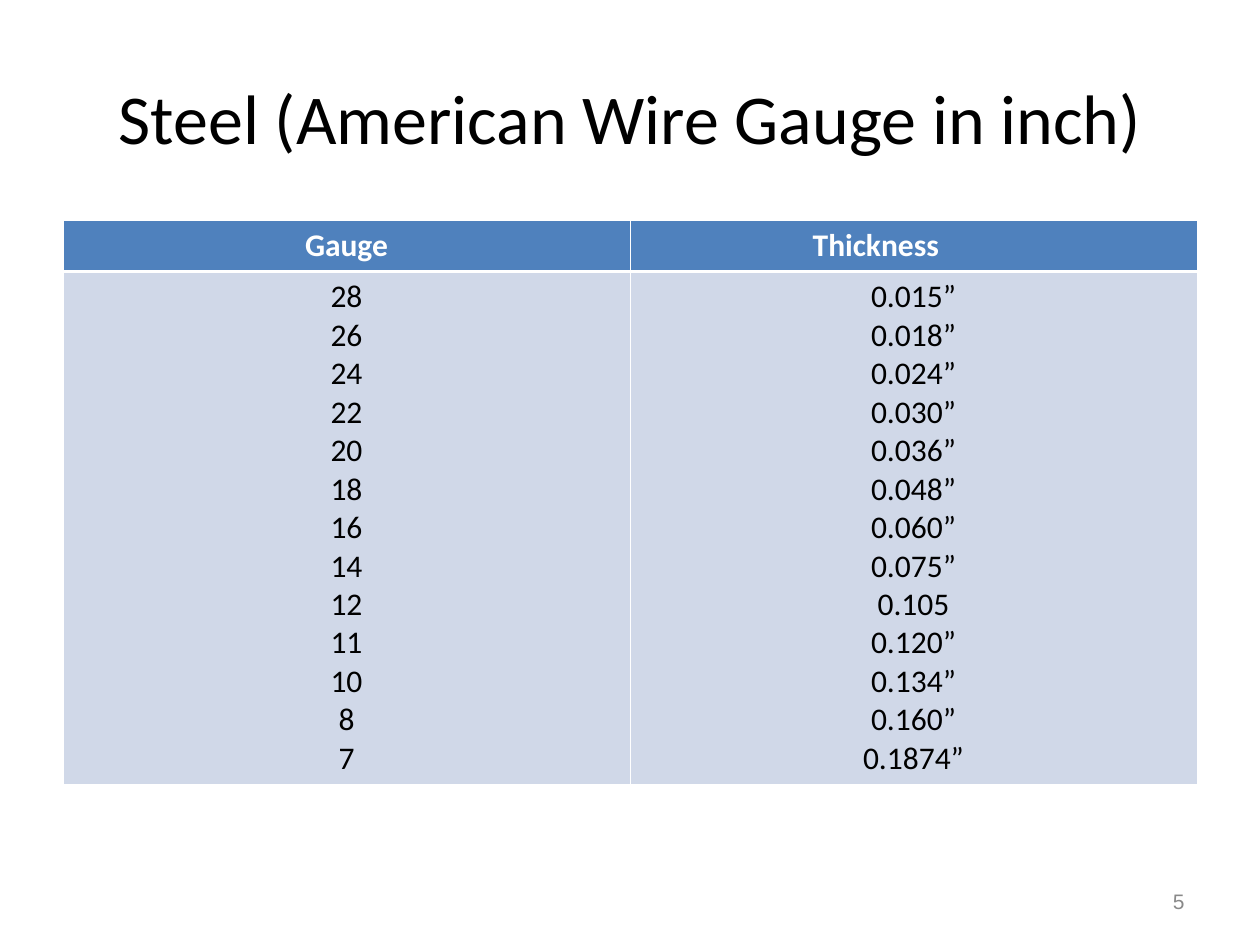
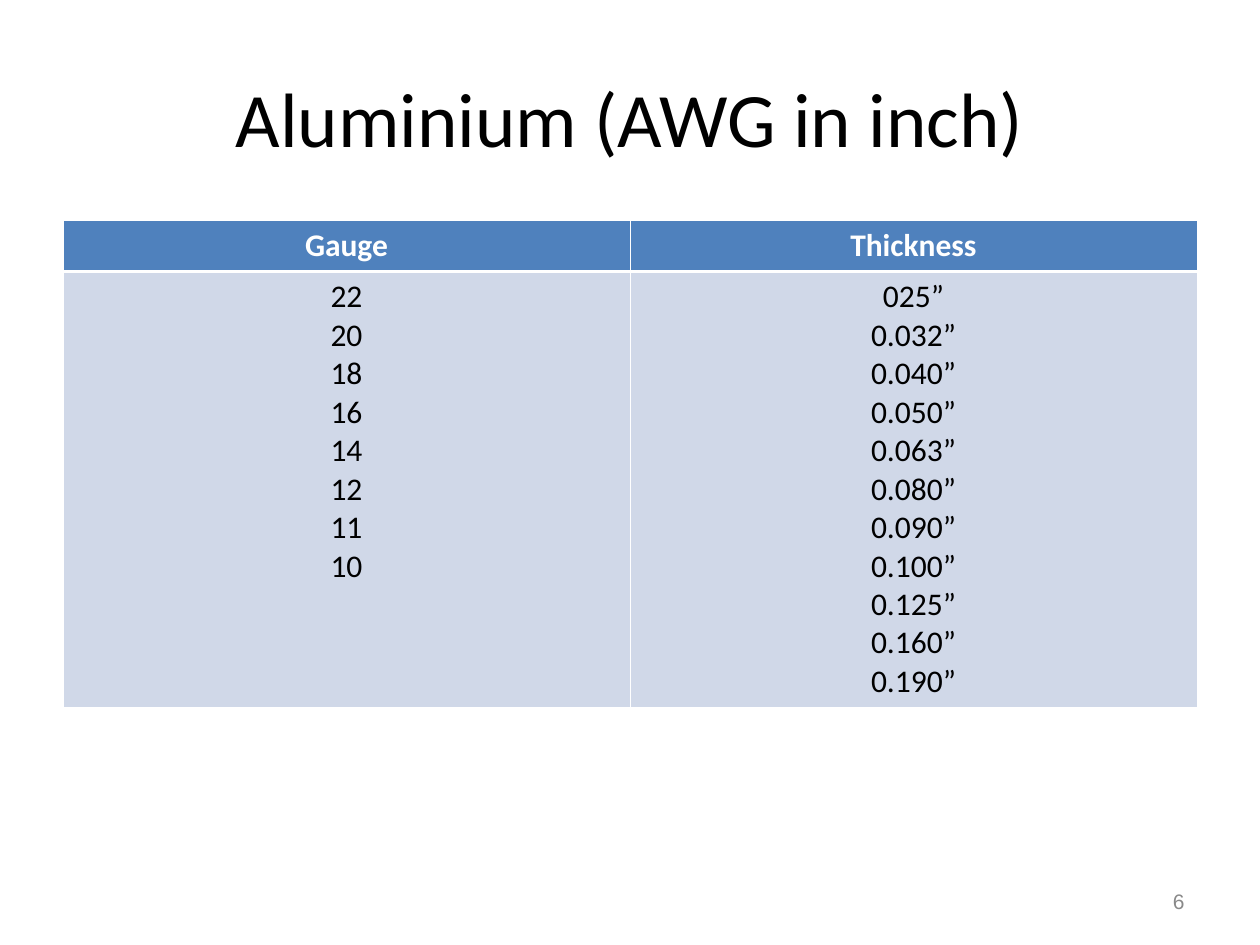
from lxml.etree import SubElement
from pptx import Presentation
from pptx.dml.color import RGBColor as Rgb
from pptx.enum.text import MSO_ANCHOR as Anchor, PP_ALIGN as Align
from pptx.oxml.ns import qn
from pptx.util import Inches, Pt

COLORS = {
    "text": "000000",
    "white": "FFFFFF",
    "head": "4F81BD",
    "body": "D0D8E8",
    "number": "898989",
}
THIN, THICK = 0.45, 1.47


def color(name):
    return Rgb.from_string(COLORS[name])


def write(frame, text, size=18, font="Calibri", ink="text", bold=False,
          align=Align.CENTER):
    frame.word_wrap = True
    para = frame.paragraphs[0]
    para.text = text
    para.alignment = align
    for run in para.runs:
        run.font.size = Pt(size)
        run.font.name = font
        run.font.bold = bold
        run.font.color.rgb = color(ink)


class Deck:
    def __init__(self):
        self.show = Presentation()
        self.show.slide_width = Inches(10)
        self.show.slide_height = Inches(7.5)
        self.slide = None

    def start(self, title, size):
        self.slide = self.show.slides.add_slide(self.show.slide_layouts[5])
        self.slide.background.fill.solid()
        self.slide.background.fill.fore_color.rgb = color("white")
        shape = self.slide.shapes.title
        shape.left, shape.top = Inches(0.5), Inches(0.3)
        shape.width, shape.height = Inches(9), Inches(1.25)
        shape.text_frame.vertical_anchor = Anchor.MIDDLE
        write(shape.text_frame, title, size=size)

    def border(self, cell, top, bottom):
        props = cell._tc.get_or_add_tcPr()
        sides = {"L": THIN, "R": THIN, "T": top, "B": bottom}
        for side, width in sides.items():
            line = SubElement(props, qn(f"a:ln{side}"), w=str(Pt(width)))
            fill = SubElement(line, qn("a:solidFill"))
            SubElement(fill, qn("a:srgbClr"), val=COLORS["white"])

    def cell(self, cell, text, head):
        top, bottom = (THIN, THICK) if head else (THICK, THIN)
        self.border(cell, top, bottom)
        cell.fill.solid()
        cell.fill.fore_color.rgb = color("head" if head else "body")
        write(cell.text_frame, text, ink="white" if head else "text", bold=head)

    def table(self, gauges, sizes, height):
        frame = self.slide.shapes.add_table(
            2, 2, Inches(0.5), Inches(1.75), Inches(9), Inches(0.4 + height))
        table = frame.table
        table.horz_banding = False
        table.rows[0].height = Inches(0.4)
        table.rows[1].height = Inches(height)
        columns = (("Gauge", gauges), ("Thickness", sizes))
        for col, (name, values) in enumerate(columns):
            table.columns[col].width = Inches(4.5)
            self.cell(table.cell(0, col), name, True)
            self.cell(table.cell(1, col), "\n".join(values.split()), False)
        return table

    def number(self, value):
        box = self.slide.shapes.add_textbox(
            Inches(7.17), Inches(6.95), Inches(2.33), Inches(0.4))
        box.text_frame.vertical_anchor = Anchor.MIDDLE
        write(box.text_frame, str(value), size=12, font="Arial",
              ink="number", align=Align.RIGHT)


def steel(deck):
    deck.start("Steel (American Wire Gauge in inch)", 40)
    table = deck.table(
        "28 26 24 22 20 18 16 14 12 11 10 8 7",
        "0.015” 0.018” 0.024” 0.030” 0.036” 0.048” 0.060” 0.075” 0.105 "
        "0.120” 0.134” 0.160” 0.1874”", 4)
    head = table.cell(0, 1)
    head.margin_left = Inches(1.45)
    head.text_frame.paragraphs[0].alignment = Align.LEFT
    deck.number(5)


def alloy(deck):
    deck.start("Aluminium (AWG in inch)", 44)
    deck.table(
        "22 20 18 16 14 12 11 10",
        "025” 0.032” 0.040” 0.050” 0.063” 0.080” 0.090” 0.100” "
        "0.125” 0.160” 0.190”", 3.4)
    deck.number(6)


def main():
    deck = Deck()
    steel(deck)
    alloy(deck)
    deck.show.save("out.pptx")


if __name__ == "__main__":
    main()
